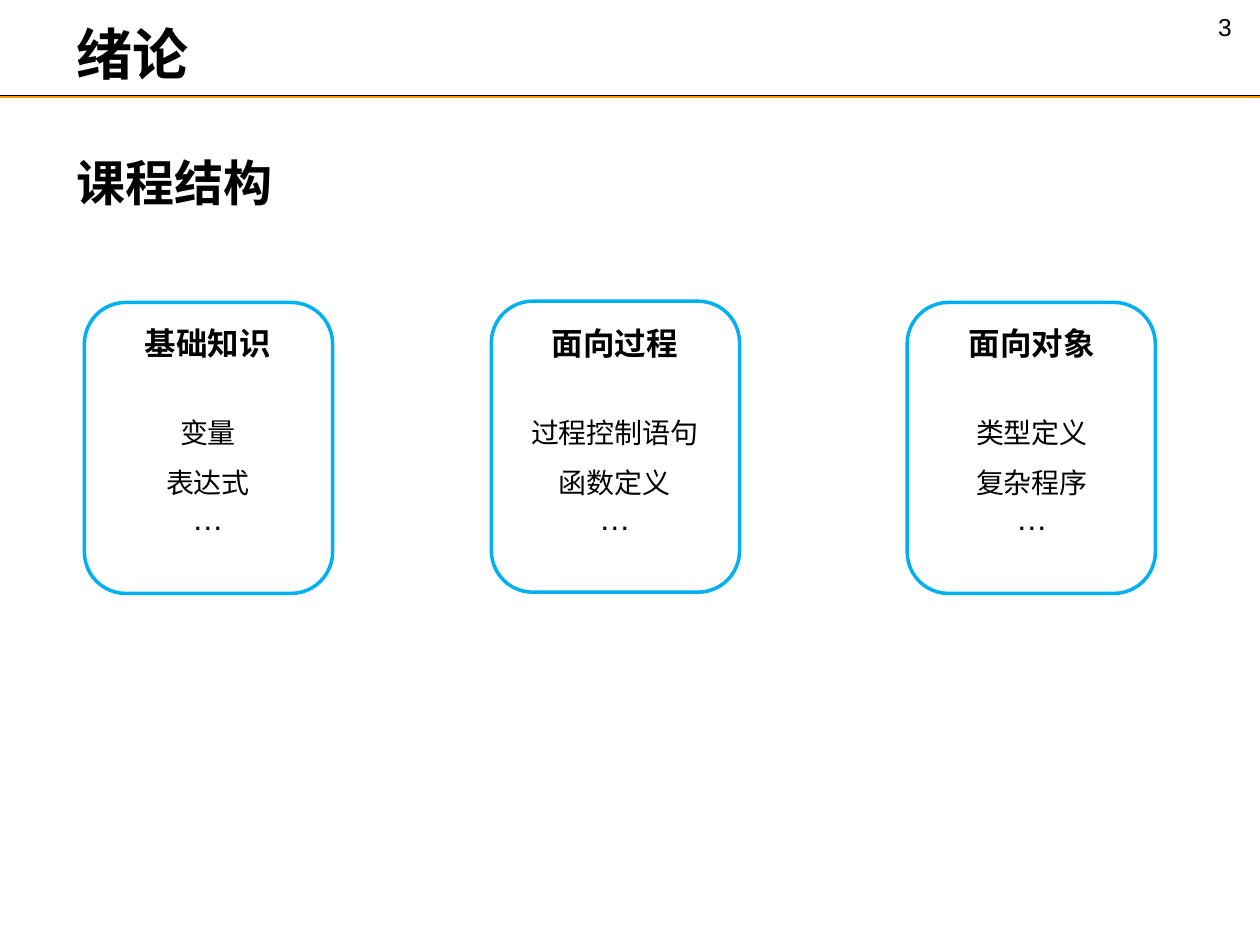
"""Build the course structure slide with three topic cards."""
from lxml import etree
from pptx import Presentation
from pptx.dml.color import RGBColor
from pptx.enum.shapes import MSO_CONNECTOR, MSO_SHAPE
from pptx.enum.text import MSO_ANCHOR, PP_ALIGN
from pptx.oxml.ns import qn
from pptx.util import Inches, Pt

BLACK = RGBColor(0x00, 0x00, 0x00)
ORANGE = RGBColor(0xFF, 0x99, 0x00)
SKY_BLUE = RGBColor(0x00, 0xB0, 0xF0)


def add_text_frame(left, top, width, height, wrap=True):
    box = slide.shapes.add_textbox(Inches(left), Inches(top), Inches(width), Inches(height))
    box.text_frame.word_wrap = wrap
    return box.text_frame


def style(paragraph, size, bold=False, spacing=None, align=None):
    paragraph.font.name = "Arial"
    paragraph.font.size = Pt(size)
    paragraph.font.bold = bold
    paragraph.font.color.rgb = BLACK
    paragraph.line_spacing = spacing
    paragraph.alignment = align


presentation = Presentation()
presentation.slide_width = Inches(10)
presentation.slide_height = Inches(7.5)
slide = presentation.slides.add_slide(presentation.slide_layouts[6])

page_number = add_text_frame(9.57, 0.05, 0.44, 0.33, wrap=False)
page_number.text = "3"
style(page_number.paragraphs[0], 14)

for y, color in ((0.76, BLACK), (0.77, ORANGE)):
    rule = slide.shapes.add_connector(
        MSO_CONNECTOR.STRAIGHT, Inches(0), Inches(y), Inches(10), Inches(y))
    rule.line.color.rgb = color
    rule.line.width = Pt(0.75)
    etree.SubElement(rule._element.spPr, qn("a:effectLst"))

title = add_text_frame(0.51, 0.11, 1.1, 0.64, wrap=False)
title.text = "绪论"
style(title.paragraphs[0], 32, bold=True)

subtitle = add_text_frame(0.51, 0.92, 9.06, 0.81)
subtitle.vertical_anchor = MSO_ANCHOR.MIDDLE
subtitle.text = "课程结构"
style(subtitle.paragraphs[0], 28, bold=True, spacing=1.5)

topics = [
    (0.67, 2.4, 0.94, 1.42, "基础知识", ["变量", "表达式"]),
    (3.9, 2.39, 4.11, 1.54, "面向过程", ["过程控制语句", "函数定义"]),
    (7.2, 2.4, 7.48, 1.42, "面向对象", ["类型定义", "复杂程序"]),
]
for card_left, card_top, text_left, text_width, heading, items in topics:
    card = slide.shapes.add_shape(
        MSO_SHAPE.ROUNDED_RECTANGLE,
        Inches(card_left), Inches(card_top), Inches(1.97), Inches(2.31))
    card.shadow.inherit = False
    card.fill.background()
    card.line.color.rgb = SKY_BLUE
    card.line.width = Pt(2)

    content = add_text_frame(text_left, 2.52, text_width, 1.82)
    content.text = "\n".join([heading, *items, "…"])
    first, *details, ellipsis = content.paragraphs
    style(first, 18, bold=True, align=PP_ALIGN.CENTER)
    first.space_after = Pt(21)
    for detail in details:
        style(detail, 16, spacing=1.5, align=PP_ALIGN.CENTER)
    style(ellipsis, 18, align=PP_ALIGN.CENTER)

presentation.save("out.pptx")
